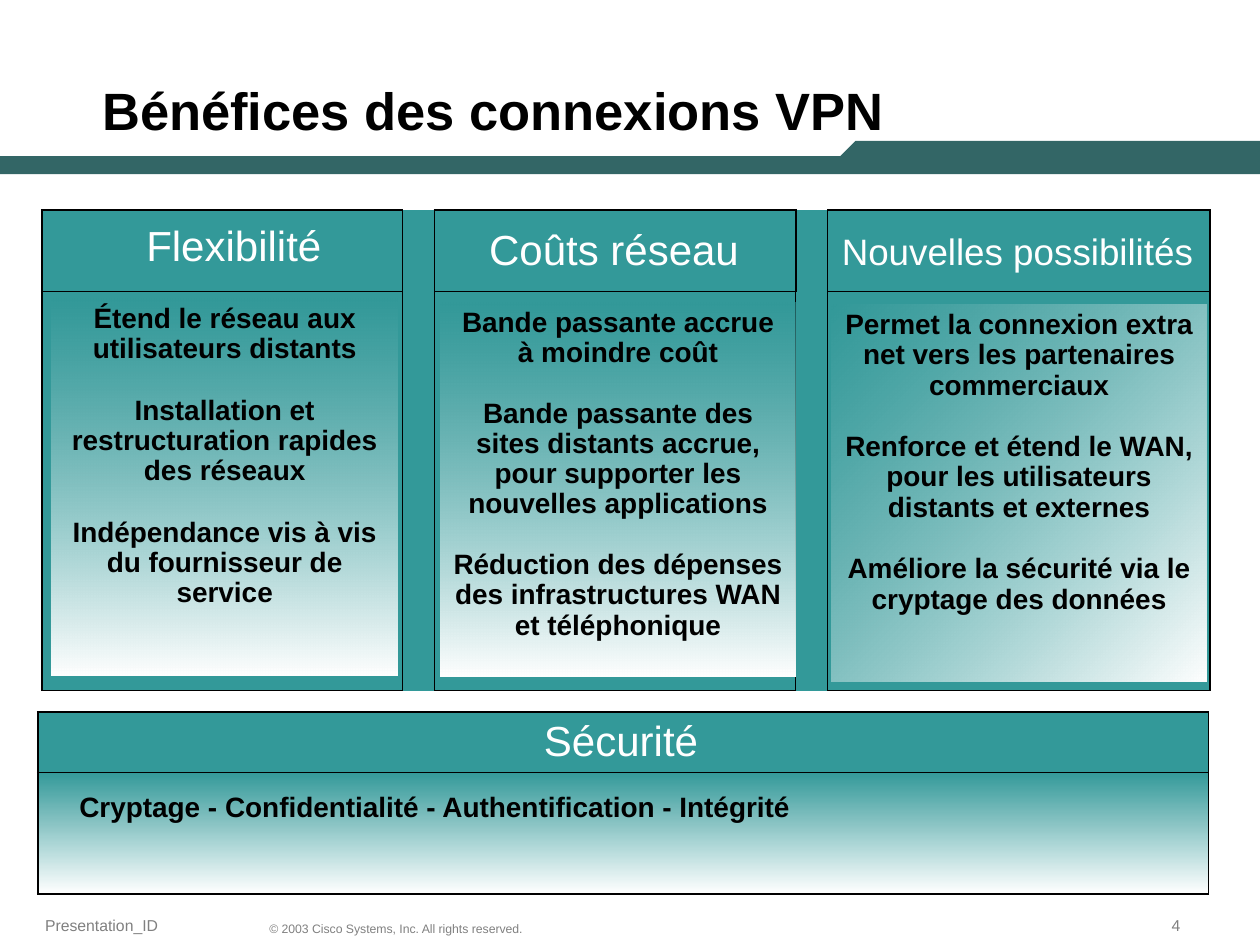
from dataclasses import dataclass

from lxml import etree
from pptx import Presentation
from pptx.dml.color import RGBColor
from pptx.enum.shapes import MSO_SHAPE
from pptx.enum.text import MSO_ANCHOR, MSO_AUTO_SIZE, PP_ALIGN
from pptx.oxml.ns import qn
from pptx.util import Cm, Pt

RECTANGLE = MSO_SHAPE.RECTANGLE
TOP, BOTTOM = MSO_ANCHOR.TOP, MSO_ANCHOR.BOTTOM
LEFT, CENTER = PP_ALIGN.LEFT, PP_ALIGN.CENTER
NO_AUTOFIT = MSO_AUTO_SIZE.NONE


@dataclass(frozen=True)
class Theme:
    font: str = "Arial"
    teal: str = "339999"
    bar: str = "336666"
    white: str = "FFFFFF"
    black: str = "000000"
    grey: str = "808080"
    title: float = 30
    heading: float = 24
    small_heading: float = 21
    body: float = 16
    footer: float = 9
    copyright: float = 7
    thick: float = 1.08
    thin: float = 0.45


THEME = Theme()


@dataclass(frozen=True)
class Box:
    """Left, top, width and height in centimetres."""
    left: float
    top: float
    width: float
    height: float

    def lengths(self) -> tuple:
        return Cm(self.left), Cm(self.top), Cm(self.width), Cm(self.height)


@dataclass(frozen=True)
class Style:
    size: float
    color: str
    bold: bool = False
    align: PP_ALIGN = LEFT
    spacing: float = 1.0
    gap: float = 0
    anchor: MSO_ANCHOR = TOP


@dataclass(frozen=True)
class Stop:
    position: int
    color: str
    alpha: int = 100


@dataclass(frozen=True)
class Label:
    text: str
    box: Box
    style: Style


@dataclass(frozen=True)
class Card:
    box: Box
    benefits: tuple
    gap: float
    stops: tuple
    angle: int = 90


HEADING = Style(THEME.heading, THEME.white, spacing=0.9)
FOOTER = Style(THEME.footer, THEME.grey, anchor=BOTTOM)
TITLE = Style(THEME.title, THEME.black, True, spacing=0.9, anchor=BOTTOM)
FADE_DOWN = (Stop(0, THEME.teal, 60), Stop(100, THEME.white))
FADE_TO_CORNER = (Stop(0, THEME.white), Stop(100, THEME.teal, 60))

LABELS = (
    Label("Coûts réseau", Box(9.63, 4.52, 6.3, 1.14), HEADING),
    Label("Nouvelles possibilités", Box(16.74, 4.5, 7.77, 1.12),
          Style(THEME.small_heading, THEME.white)),
    Label("Flexibilité", Box(2.72, 4.44, 4.47, 1.14), HEADING),
    Label("Sécurité", Box(0.76, 14.3, 23.52, 1.24),
          Style(THEME.heading, THEME.white, align=CENTER)),
    Label("Cryptage - Confidentialité - Authentification - Intégrité",
          Box(1.37, 15.8, 23.03, 0.91), Style(THEME.body, THEME.black, True)),
    Label("Presentation_ID", Box(0.68, 18.34, 3.7, 0.61), FOOTER),
    Label("© 2003 Cisco Systems, Inc. All rights reserved.",
          Box(5.2, 18.44, 6.2, 0.53),
          Style(THEME.copyright, THEME.grey, anchor=BOTTOM)),
    Label("4", Box(23.39, 18.34, 1.91, 0.61), FOOTER),
)

CARDS = (
    Card(Box(8.89, 6.1, 7.14, 7.54), (
        "Bande passante accrue à moindre coût",
        "Bande passante des sites distants accrue, pour supporter les "
        "nouvelles applications",
        "Réduction des dépenses des infrastructures WAN et téléphonique",
    ), 17.5, FADE_DOWN),
    Card(Box(16.76, 6.15, 7.57, 7.59), (
        "Permet la connexion extra net vers les partenaires commerciaux",
        "Renforce et étend le WAN, pour les utilisateurs distants et externes",
        "Améliore la sécurité via le cryptage des données",
    ), 18, FADE_TO_CORNER, 225),
    Card(Box(1.04, 6.02, 6.98, 7.59), (
        "Étend le réseau aux utilisateurs distants",
        "Installation et restructuration rapides des réseaux",
        "Indépendance vis à vis du fournisseur de service",
    ), 18, FADE_DOWN),
)


def write(shape, paragraphs: tuple, style: Style) -> None:
    frame = shape.text_frame
    frame.word_wrap = True
    frame.auto_size = NO_AUTOFIT
    frame.vertical_anchor = style.anchor
    frame.margin_left = frame.margin_right = Cm(0.23)
    frame.margin_top = frame.margin_bottom = Cm(0.11)
    for index, text in enumerate(paragraphs):
        paragraph = frame.add_paragraph() if index else frame.paragraphs[0]
        paragraph.alignment = style.align
        paragraph.line_spacing = style.spacing
        paragraph.space_before = Pt(style.gap if index else 0)
        run = paragraph.add_run()
        run.text = text
        run.font.name = THEME.font
        run.font.size = Pt(style.size)
        run.font.bold = style.bold
        run.font.color.rgb = RGBColor.from_string(style.color)


def solid_fill(parent, color: str) -> None:
    fill = etree.SubElement(parent, qn("a:solidFill"))
    etree.SubElement(fill, qn("a:srgbClr"), val=color)


def gradient_fill(stops: tuple, angle: int):
    """Gradient element; the angle runs clockwise, in degrees."""
    fill = etree.Element(qn("a:gradFill"), rotWithShape="1")
    stop_list = etree.SubElement(fill, qn("a:gsLst"))
    for stop in stops:
        mark = etree.SubElement(stop_list, qn("a:gs"), pos=str(stop.position * 1000))
        color = etree.SubElement(mark, qn("a:srgbClr"), val=stop.color)
        if stop.alpha < 100:
            etree.SubElement(color, qn("a:alpha"), val=str(stop.alpha * 1000))
    etree.SubElement(fill, qn("a:lin"), ang=str(angle * 60000), scaled="0")
    return fill


def add_label(slide, label: Label) -> None:
    write(slide.shapes.add_textbox(*label.box.lengths()), (label.text,), label.style)


def add_card(slide, card: Card) -> None:
    panel = slide.shapes.add_shape(RECTANGLE, *card.box.lengths())
    panel.shadow.inherit = False
    panel.line.fill.background()
    geometry = panel._element.spPr.find(qn("a:prstGeom"))
    geometry.addnext(gradient_fill(card.stops, card.angle))
    write(panel, card.benefits,
          Style(THEME.body, THEME.black, True, CENTER, 0.9, card.gap))


def add_bar(slide) -> None:
    builder = slide.shapes.build_freeform(Cm(0), Cm(3.51))
    outline = ((0, 3.15), (16.94, 3.15), (17.25, 2.84), (25.4, 2.84), (25.4, 3.51))
    builder.add_line_segments([(Cm(x), Cm(y)) for x, y in outline], close=True)
    bar = builder.convert_to_shape()
    bar.shadow.inherit = False
    bar.fill.solid()
    bar.fill.fore_color.rgb = RGBColor.from_string(THEME.bar)
    bar.line.fill.background()


def add_grid(slide, left: float, top: float, widths: tuple, heights: tuple):
    box = Box(left, top, sum(widths), sum(heights))
    table = slide.shapes.add_table(len(heights), len(widths), *box.lengths()).table
    table.first_row = table.horz_banding = False
    for column, width in zip(table.columns, widths):
        column.width = Cm(width)
    for row, height in zip(table.rows, heights):
        row.height = Cm(height)
    return table


def format_cell(cell, borders: tuple, gradient=None) -> None:
    """Set left, right, top and bottom line widths (0 for none), then the fill."""
    properties = cell._tc.get_or_add_tcPr()
    for side, width in zip("LRTB", borders):
        line = etree.SubElement(properties, qn(f"a:ln{side}"), w=str(Pt(width)))
        if width:
            solid_fill(line, THEME.black)
        else:
            etree.SubElement(line, qn("a:noFill"))
    if gradient is None:
        solid_fill(properties, THEME.teal)
    else:
        properties.append(gradient)


def add_benefit_table(slide) -> None:
    thick, thin = THEME.thick, THEME.thin
    table = add_grid(slide, 0.84, 4.24, (7.28, 0.64, 7.28, 0.64, 7.71), (1.63, 8.05))
    uprights = ((thick, thin, thick, thick, thin, thick),
                (thick, thin, thin, thin, thin, thick))
    levels = (thick, thin, thick)
    for row, edges in enumerate(uprights):
        for column in range(len(table.columns)):
            is_gap = column % 2
            across = (0, 0) if is_gap else levels[row:row + 2]
            format_cell(table.cell(row, column), (*edges[column:column + 2], *across))


def add_security_table(slide) -> None:
    thick, thin = THEME.thick, THEME.thin
    table = add_grid(slide, 0.76, 14.35, (23.6,), (1.21, 2.46))
    format_cell(table.cell(0, 0), (thick, thick, thick, thin))
    fade = gradient_fill((Stop(0, THEME.teal), Stop(100, THEME.white)), 90)
    format_cell(table.cell(1, 0), (thick, thick, thin, thick), fade)


def main() -> None:
    deck = Presentation()
    deck.slide_width, deck.slide_height = Cm(25.4), Cm(19.05)
    slide = deck.slides.add_slide(deck.slide_layouts[5])
    add_bar(slide)
    title = slide.shapes.title
    title.left, title.top, title.width, title.height = Box(1.83, 0.64, 22.63, 2.34).lengths()
    write(title, ("Bénéfices des connexions VPN",), TITLE)
    add_benefit_table(slide)
    add_security_table(slide)
    for card in CARDS:
        add_card(slide, card)
    for label in LABELS:
        add_label(slide, label)
    deck.save("out.pptx")


if __name__ == "__main__":
    main()
